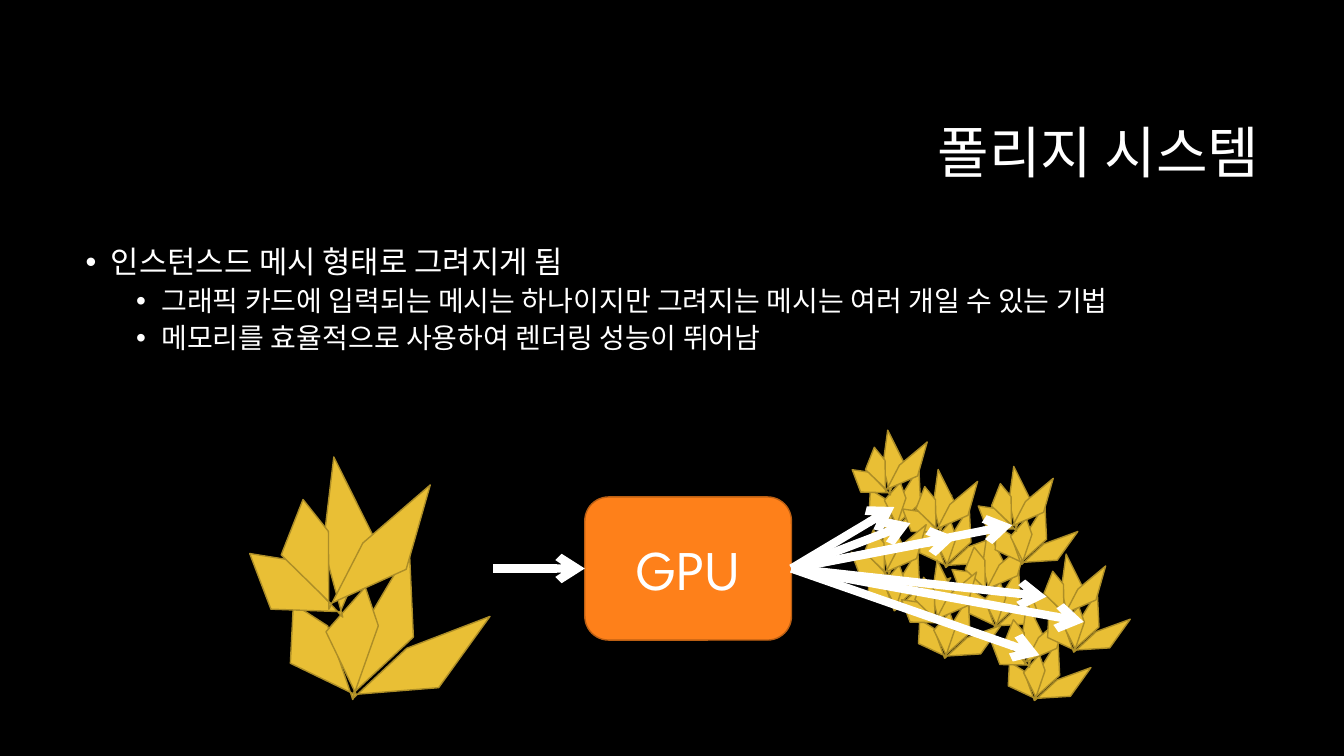
from dataclasses import dataclass

from pptx import Presentation
from pptx import util as u
from pptx.dml.color import RGBColor
from pptx.enum import shapes, text
from pptx.oxml.ns import qn


@dataclass(frozen=True)
class Theme:
    background: str = "000000"
    white: str = "FFFFFF"
    gpu: str = "FE801A"
    gpu_edge: str = "BC5F13"
    leaf: str = "E9BF35"
    leaf_edge: str = "AC8D27"
    font: str = "League Spartan"
    heading: int = 40
    point: int = 22
    subpoint: int = 20
    edge: int = 1
    arrow: int = 6


THEME = Theme()

TITLE = "폴리지 시스템"
# Text, level
POINTS = [
    ("인스턴스드 메시 형태로 그려지게 됨", 0),
    ("그래픽 카드에 입력되는 메시는 하나이지만 그려지는 메시는 여러 개일 수 있는 기법", 1),
    ("메모리를 효율적으로 사용하여 렌더링 성능이 뛰어남", 1),
]

# One leaf outline, inside a box of LEAF_SIZE
LEAF_SIZE = (1.22, 1.49)
LEAF_OUTLINE = [(0.62, 1.43), (0, 1.13), (0.03, 0.54), (0.37, 0.76),
                (0.62, 1.49), (0.73, 0.76), (1.18, 0), (1.22, 0.87)]
# A plant is four turned leaves: left, top, rotation
PLANT_LEAVES = [(0, 0, 0), (0.46, 0.15, 38.4), (-0.4, -0.75, -23.8), (0, -0.86, 18.6)]
MESH = (2.88, 5.45)
INSTANCE_SIZE = (0.51, 0.6)
INSTANCES = [(8.62, 4.64), (9.12, 5.03), (8.61, 5.46), (9.61, 5.63),
             (9.11, 5.93), (9.87, 5), (10, 6.35), (10.39, 5.87)]
ARROW_TARGETS = [(8.87, 5.03), (9.03, 5.19), (9.48, 5.33), (10.04, 5.21),
                 (10.38, 5.92), (10.31, 6.5), (10.75, 6.17)]


def rgb(value):
    return RGBColor.from_string(value)


def place(part, left, top, width, height):
    part.left, part.top = u.Inches(left), u.Inches(top)
    part.width, part.height = u.Inches(width), u.Inches(height)


def write(paragraph, words, size, align=None, spacing=None, before=None):
    run = paragraph.add_run()
    run.text = words
    run.font.name = THEME.font
    run.font.size = u.Pt(size)
    run.font.color.rgb = rgb(THEME.white)
    paragraph.alignment = align
    paragraph.line_spacing = spacing
    if before is not None:
        paragraph.space_before = u.Pt(before)


def add_bullet(paragraph, left, hanging):
    props = paragraph._p.get_or_add_pPr()
    props.set("marL", str(u.Inches(left)))
    props.set("indent", str(-u.Inches(hanging)))
    props.makeelement(qn("a:buFont"))
    for tag, key, value in [("a:buFont", "typeface", "Arial"), ("a:buChar", "char", "•")]:
        mark = props.makeelement(qn(tag), {key: value})
        props.append(mark)


def paint(part, fill, edge):
    part.shadow.inherit = False
    part.fill.solid()
    part.fill.fore_color.rgb = rgb(fill)
    part.line.color.rgb = rgb(edge)
    part.line.width = u.Pt(THEME.edge)


def add_title(slide):
    title = slide.shapes.title
    place(title, 3.17, 0.84, 9.42, 1.41)
    frame = title.text_frame
    frame.auto_size = text.MSO_AUTO_SIZE.NONE
    frame.vertical_anchor = text.MSO_ANCHOR.MIDDLE
    write(frame.paragraphs[0], TITLE, THEME.heading, align=text.PP_ALIGN.RIGHT, spacing=0.9)


def add_points(slide):
    body = slide.placeholders[1]
    place(body, 0.75, 2.4, 11.83, 4.4)
    frame = body.text_frame
    frame.auto_size = text.MSO_AUTO_SIZE.NONE
    for index, (words, level) in enumerate(POINTS):
        paragraph = frame.add_paragraph() if index else frame.paragraphs[0]
        paragraph.level = level
        write(paragraph, words, THEME.subpoint if level else THEME.point,
              spacing=0.9, before=5 if level else 10)
        add_bullet(paragraph, 0.25 + 0.5 * level, 0.25)


def add_gpu(slide):
    gpu = slide.shapes.add_shape(shapes.MSO_SHAPE.ROUNDED_RECTANGLE, u.Inches(5.8),
                                 u.Inches(4.93), u.Inches(2.05), u.Inches(1.42))
    paint(gpu, THEME.gpu, THEME.gpu_edge)
    gpu.text_frame.vertical_anchor = text.MSO_ANCHOR.MIDDLE
    write(gpu.text_frame.paragraphs[0], "GPU", THEME.heading, align=text.PP_ALIGN.CENTER)
    return gpu


def add_plant(slide, left, top, size=LEAF_SIZE):
    plant = slide.shapes.add_group_shape()
    scale_x, scale_y = size[0] / LEAF_SIZE[0], size[1] / LEAF_SIZE[1]
    for leaf_left, leaf_top, turn in PLANT_LEAVES:
        outline = [(u.Inches(left + (leaf_left + x) * scale_x),
                    u.Inches(top + (leaf_top + y) * scale_y)) for x, y in LEAF_OUTLINE]
        builder = plant.shapes.build_freeform(*outline[0])
        builder.add_line_segments(outline[1:], close=True)
        leaf = builder.convert_to_shape()
        leaf.rotation = turn
        paint(leaf, THEME.leaf, THEME.leaf_edge)


def add_arrow(slide, start, end):
    arrow = slide.shapes.add_connector(shapes.MSO_CONNECTOR.STRAIGHT,
                                       *(u.Inches(n) for n in (*start, *end)))
    arrow.line.color.rgb = rgb(THEME.white)
    arrow.line.width = u.Pt(THEME.arrow)
    line = arrow.line._get_or_add_ln()
    line.append(line.makeelement(qn("a:tailEnd"), {"type": "arrow"}))
    props = arrow._element.spPr
    props.append(props.makeelement(qn("a:effectLst")))
    return arrow


def main():
    deck = Presentation()
    deck.slide_width, deck.slide_height = u.Inches(13.33), u.Inches(7.5)
    slide = deck.slides.add_slide(deck.slide_layouts[1])
    slide.background.fill.solid()
    slide.background.fill.fore_color.rgb = rgb(THEME.background)

    # Heading and bullet list
    add_title(slide)
    add_points(slide)

    # One mesh goes into the GPU
    gpu = add_gpu(slide)
    add_plant(slide, *MESH)
    add_arrow(slide, (4.89, 5.64), (5.8, 5.64)).end_connect(gpu, 1)

    # Many instances come out
    for left, top in INSTANCES:
        add_plant(slide, left, top, INSTANCE_SIZE)
    for target in ARROW_TARGETS:
        add_arrow(slide, (7.85, 5.64), target).begin_connect(gpu, 3)

    deck.save("out.pptx")


if __name__ == "__main__":
    main()
